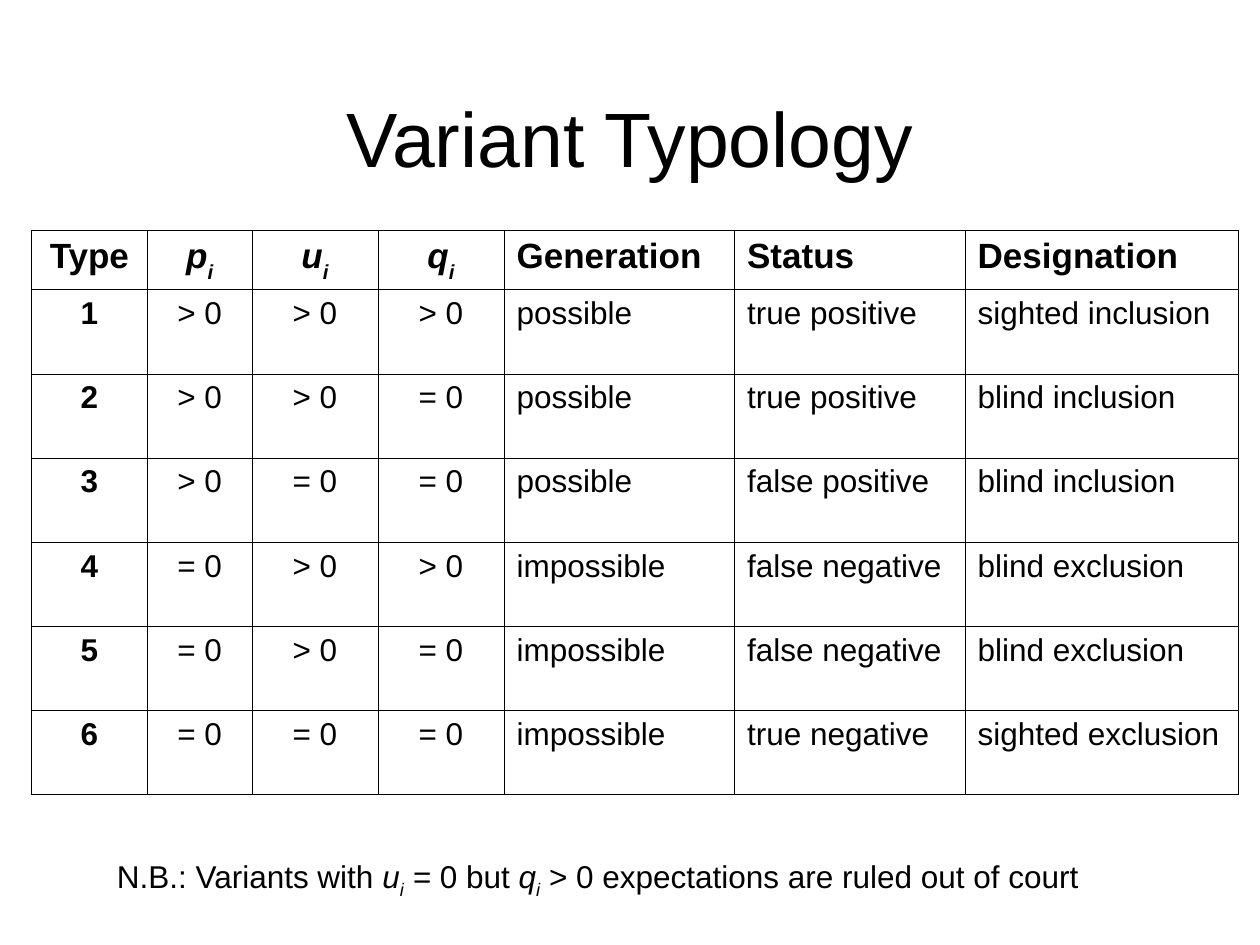
import pptx
import pptx.dml.color
import pptx.enum.text
import pptx.oxml
import pptx.oxml.ns
import pptx.util

Inches = pptx.util.Inches
Pt = pptx.util.Pt
ALIGN = pptx.enum.text.PP_ALIGN
ANCHOR = pptx.enum.text.MSO_ANCHOR

COLORS = {"text": "000000", "border": "000000", "background": "FFFFFF"}
FONT = "Arial"
COLUMN_WIDTHS = [0.92, 0.83, 1, 1, 1.83, 1.83, 2.17]
HEADER_HEIGHT = 0.47
CENTERED_COLUMNS = 4


def symbol(letter, baseline):
    return [(letter, {"italic": True}), ("i", {"italic": True, "baseline": baseline})]


HEADER = ["Type", *(symbol(letter, -30) for letter in "puq"),
          "Generation", "Status", "Designation"]
VARIANTS = [
    ["1", "> 0", "> 0", "> 0", "possible", "true positive", "sighted inclusion"],
    ["2", "> 0", "> 0", "= 0", "possible", "true positive", "blind inclusion"],
    ["3", "> 0", "= 0", "= 0", "possible", "false positive", "blind inclusion"],
    ["4", "= 0", "> 0", "> 0", "impossible", "false negative", "blind exclusion"],
    ["5", "= 0", "> 0", "= 0", "impossible", "false negative", "blind exclusion"],
    ["6", "= 0", "= 0", "= 0", "impossible", "true negative", "sighted exclusion"],
]
NOTE = [
    ("N.B.: Variants with ", {}),
    *symbol("u", -25),
    (" = ", {"italic": True}),
    ("0 but ", {}),
    *symbol("q", -25),
    (" > 0 expectations are ruled out of court", {}),
]


def write_text(frame, text, size=18, bold=False, align=ALIGN.LEFT, anchor=ANCHOR.TOP):
    frame.word_wrap = True
    frame.vertical_anchor = anchor
    para = frame.paragraphs[0]
    para.alignment = align
    spans = [(text, {})] if isinstance(text, str) else text
    for words, style in spans:
        span = para.add_run()
        span.text = words
        span.font.name = FONT
        span.font.size = Pt(size)
        span.font.bold = bold
        span.font.italic = style.get("italic", False)
        span.font.color.rgb = pptx.dml.color.RGBColor.from_string(COLORS["text"])
        if "baseline" in style:
            span.font._element.set("baseline", str(style["baseline"] * 1000))


def add_borders(cell, width):
    properties = cell._tc.get_or_add_tcPr()
    for side in ("lnL", "lnR", "lnT", "lnB"):
        properties.append(pptx.oxml.parse_xml(
            f'<a:{side} {pptx.oxml.ns.nsdecls("a")} w="{Pt(width)}">'
            f'<a:solidFill><a:srgbClr val="{COLORS["border"]}"/></a:solidFill></a:{side}>'))


def place_title(page, left, top, width, height):
    title = page.shapes.title
    title.left, title.top = Inches(left), Inches(top)
    title.width, title.height = Inches(width), Inches(height)
    write_text(title.text_frame, "Variant Typology", size=44,
               align=ALIGN.CENTER, anchor=ANCHOR.MIDDLE)


def place_typology_table(page, left, top, width, height):
    rows = [HEADER, *VARIANTS]
    table = page.shapes.add_table(len(rows), len(HEADER), Inches(left), Inches(top),
                                  Inches(width), Inches(height)).table
    table.first_row = False
    table.horz_banding = False
    for column, share in zip(table.columns, COLUMN_WIDTHS):
        column.width = Inches(width * share / sum(COLUMN_WIDTHS))
    variant_height = (height - HEADER_HEIGHT) / len(VARIANTS)
    for row_index, values in enumerate(rows):
        is_header = row_index == 0
        table.rows[row_index].height = Inches(HEADER_HEIGHT if is_header else variant_height)
        for column_index, value in enumerate(values):
            cell = table.cell(row_index, column_index)
            add_borders(cell, 0.45)
            cell.fill.background()
            write_text(cell.text_frame, value, size=20 if is_header else 18,
                       bold=is_header or column_index == 0,
                       align=ALIGN.CENTER if column_index < CENTERED_COLUMNS else ALIGN.LEFT)


def place_note(page, left, top, width, height):
    box = page.shapes.add_textbox(Inches(left), Inches(top), Inches(width), Inches(height))
    write_text(box.text_frame, NOTE)
    box.text_frame.auto_size = pptx.enum.text.MSO_AUTO_SIZE.SHAPE_TO_FIT_TEXT


def main():
    deck = pptx.Presentation()
    deck.slide_width, deck.slide_height = Inches(10), Inches(7.5)
    page = deck.slides.add_slide(deck.slide_layouts.get_by_name("Title Only"))
    page.background.fill.solid()
    page.background.fill.fore_color.rgb = pptx.dml.color.RGBColor.from_string(
        COLORS["background"])
    place_typology_table(page, 0.25, 1.83, 9.58, 4.48)
    place_title(page, 0.75, 0.67, 8.5, 0.83)
    place_note(page, 0.83, 6.75, 8.5, 0.44)
    deck.save("out.pptx")


if __name__ == "__main__":
    main()
